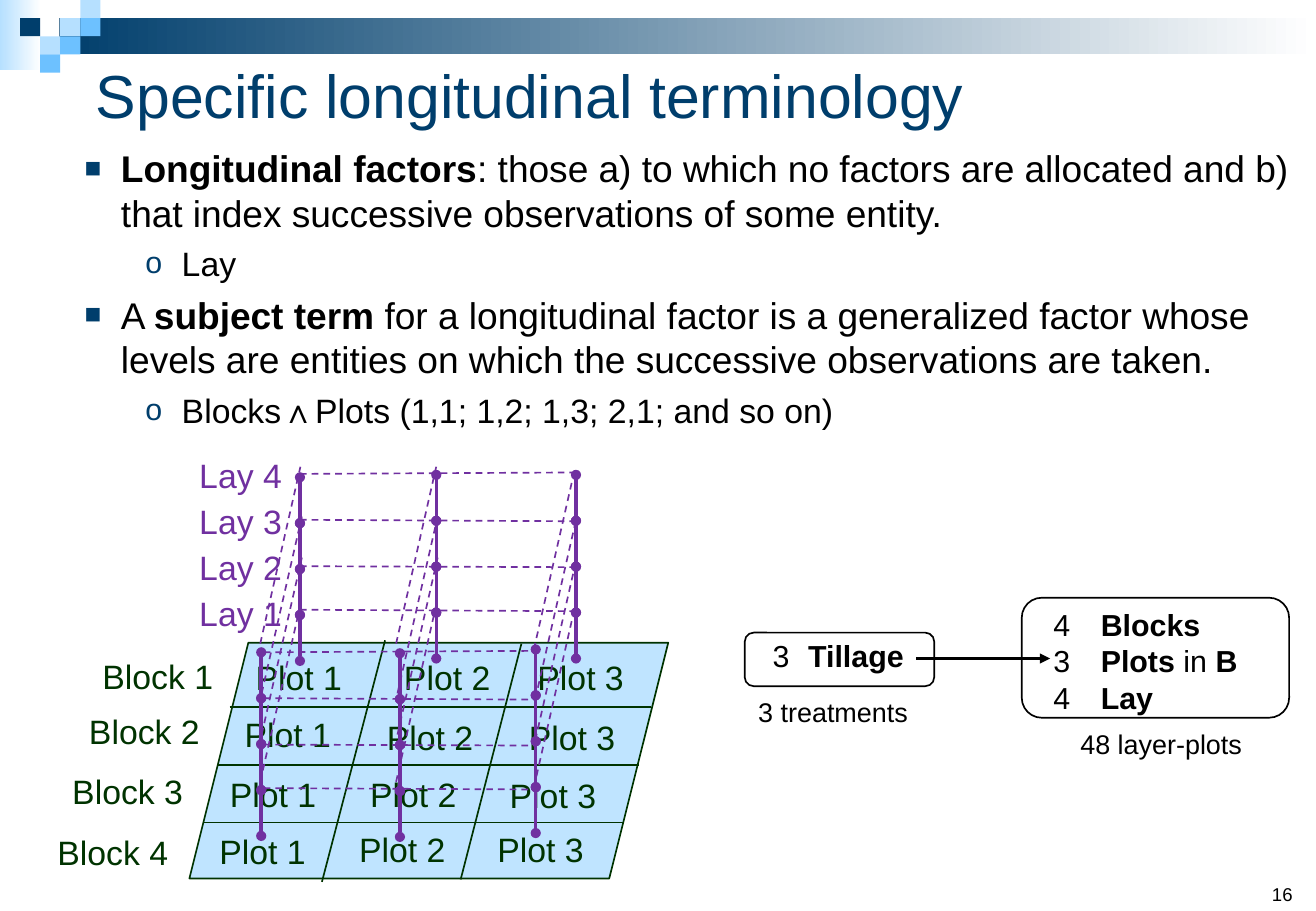
"""Build the slide on longitudinal terminology with its layered plot diagram."""
from dataclasses import dataclass
from typing import Optional

from lxml.etree import SubElement
from pptx import Presentation
from pptx.dml.color import RGBColor as Rgb
from pptx.enum.dml import MSO_LINE as Dash
from pptx.enum.shapes import MSO_CONNECTOR as Link, MSO_SHAPE as Kind
from pptx.enum.text import MSO_ANCHOR as Anchor, PP_ALIGN as Align
from pptx.oxml.ns import qn
from pptx.shapes.autoshape import Shape
from pptx.slide import Slide
from pptx.text.text import TextFrame as Frame
from pptx.util import Cm, Pt


@dataclass(frozen=True)
class Theme:
    font: str = "Arial"
    navy: str = "003E6C"
    sky: str = "6DC1FF"
    pale: str = "B6E0FF"
    field: str = "BFE4FF"
    green: str = "003300"
    purple: str = "7030A0"
    black: str = "000000"
    white: str = "FFFFFF"
    title: int = 36
    main: int = 22
    sub: int = 20
    box: int = 18
    note: int = 16
    page: int = 11


@dataclass(frozen=True)
class Run:
    text: str
    bold: bool = False


@dataclass(frozen=True)
class Para:
    runs: tuple[Run, ...]
    size: int
    color: str
    left: float = 0
    hang: float = 0
    mark: str = ""
    scale: int = 100
    before: int = 0
    align: Align = Align.LEFT


@dataclass(frozen=True)
class Rect:
    left: float
    top: float
    width: float
    height: float

    def cm(self) -> tuple[Cm, Cm, Cm, Cm]:
        return Cm(self.left), Cm(self.top), Cm(self.width), Cm(self.height)


@dataclass(frozen=True)
class Pen:
    color: str
    width: float = 1
    dash: bool = False
    head: Optional[str] = None
    tail: Optional[str] = None


T = Theme()


def write(frame: Frame, paras: list[Para]) -> None:
    frame.word_wrap = True
    for num, item in enumerate(paras):
        para = frame.paragraphs[0] if num == 0 else frame.add_paragraph()
        para.alignment = item.align
        para.space_before = Pt(item.before if num else 0)
        props = para._p.get_or_add_pPr()
        props.set("marL", str(Cm(item.left)))
        props.set("indent", str(Cm(item.hang)))
        if item.mark:
            tint = SubElement(props, qn("a:buClr"))
            SubElement(tint, qn("a:srgbClr"), val=T.navy)
            SubElement(props, qn("a:buSzPct"), val=str(item.scale * 1000))
            SubElement(props, qn("a:buFont"), typeface=T.font)
            SubElement(props, qn("a:buChar"), char=item.mark)
        for part in item.runs:
            run = para.add_run()
            run.text = part.text
            run.font.name = T.font
            run.font.size = Pt(item.size)
            run.font.bold = part.bold
            run.font.color.rgb = Rgb.from_string(item.color)


def add_text(slide: Slide, rect: Rect, paras: list[Para], anchor: Anchor = Anchor.TOP) -> None:
    frame = slide.shapes.add_textbox(*rect.cm()).text_frame
    frame.vertical_anchor = anchor
    write(frame, paras)


def add_label(slide: Slide, rect: Rect, text: str, size: int, color: str) -> None:
    add_text(slide, rect, [Para((Run(text),), size, color, align=Align.CENTER)])


def add_form(slide: Slide, kind: Kind, rect: Rect, fills: tuple[str, ...] = (),
             edge: Optional[str] = None) -> Shape:
    form = slide.shapes.add_shape(kind, *rect.cm())
    form.shadow.inherit = False
    if len(fills) == 2:
        form.fill.gradient()
        form.fill.gradient_angle = 0
        for stop, color in zip(form.fill.gradient_stops, fills):
            stop.color.rgb = Rgb.from_string(color)
    elif fills:
        form.fill.solid()
        form.fill.fore_color.rgb = Rgb.from_string(fills[0])
    else:
        form.fill.background()
    if edge:
        form.line.color.rgb = Rgb.from_string(edge)
        form.line.width = Pt(1)
    else:
        form.line.fill.background()
    return form


def add_box(slide: Slide, rect: Rect, paras: list[Para]) -> None:
    frame = add_form(slide, Kind.ROUNDED_RECTANGLE, rect, edge=T.black).text_frame
    frame.margin_left = frame.margin_right = Cm(0.03)
    frame.margin_top = frame.margin_bottom = Cm(0.05)
    frame.vertical_anchor = Anchor.TOP
    write(frame, paras)


def add_line(slide: Slide, x: float, y: float, to_x: float, to_y: float, pen: Pen) -> None:
    line = slide.shapes.add_connector(Link.STRAIGHT, Cm(x), Cm(y), Cm(to_x), Cm(to_y))
    line.line.color.rgb = Rgb.from_string(pen.color)
    line.line.width = Pt(pen.width)
    if pen.dash:
        line.line.dash_style = Dash.DASH
    props = line._element.spPr
    stroke = props.find(qn("a:ln"))
    for tag, end in (("a:headEnd", pen.head), ("a:tailEnd", pen.tail)):
        if end:
            SubElement(stroke, qn(tag), type=end)
    SubElement(props, qn("a:effectLst"))


def draw_band(slide: Slide) -> None:
    add_form(slide, Kind.RECTANGLE, Rect(0, 0, 0.86, 1.47), (T.pale, T.white))
    add_form(slide, Kind.RECTANGLE, Rect(1.24, 0.38, 26.26, 0.76), (T.navy, T.white))
    wide, high = 0.42, 0.38
    for col, row, color in ((3, 1, T.pale), (4, 0, T.pale), (4, 1, T.sky), (2, 2, T.pale),
                            (1, 1, T.navy), (3, 2, T.sky), (2, 3, T.sky)):
        add_form(slide, Kind.RECTANGLE, Rect(col * wide, row * high, wide, high), (color,))


def draw_text(slide: Slide) -> None:
    title = slide.shapes.title
    title.left, title.top, title.width, title.height = Rect(1.75, 0.86, 24.89, 2.21).cm()
    title.text_frame.vertical_anchor = Anchor.MIDDLE
    write(title.text_frame, [Para((Run("Specific longitudinal terminology"),), T.title, T.navy)])

    def main(*runs: Run) -> Para:
        return Para(runs, T.main, T.black, 0.91, -0.76, "■", 75, 5)

    def sub(text: str) -> Para:
        return Para((Run(text),), T.sub, T.black, 2.18, -0.76, "o", 90, 5)

    add_text(slide, Rect(1.37, 2.92, 26.14, 6.45), [
        main(Run("Longitudinal factors", True),
             Run(": those a) to which no factors are allocated and b) that index "
                 "successive observations of some entity.")),
        sub("Lay"),
        main(Run("A "), Run("subject term", True),
             Run(" for a longitudinal factor is a generalized factor whose levels are "
                 "entities on which the successive observations are taken.")),
        sub("Blocks∧Plots (1,1; 1,2; 1,3; 2,1; and so on)")])
    add_text(slide, Rect(26.34, 17.78, 1.17, 1.27), [Para((Run("16"),), T.page, T.black)],
             Anchor.BOTTOM)


def draw_panels(slide: Slide) -> None:
    add_box(slide, Rect(15.57, 13.23, 3.96, 1.12),
            [Para((Run("3\t"), Run("Tillage", True)), T.box, T.black, 1.24, -0.74)])
    rows = ((Run("4\t"), Run("Blocks", True)),
            (Run("3\t"), Run("Plots ", True), Run("in "), Run("B", True)),
            (Run("4\t"), Run("Lay", True)))
    add_box(slide, Rect(21.36, 12.5, 5.59, 2.51),
            [Para(runs, T.box, T.black, 1.5, -0.99) for runs in rows])
    add_label(slide, Rect(15.14, 14.43, 4.55, 0.94), "3 treatments", T.note, T.black)
    add_label(slide, Rect(22, 15.09, 4.55, 0.94), "48 layer-plots", T.note, T.black)
    add_line(slide, 19.15, 13.77, 21.95, 13.77, Pen(T.black, 1.5, tail="triangle"))


def draw_field(slide: Slide) -> None:
    add_form(slide, Kind.PARALLELOGRAM, Rect(3.96, 13.44, 10.01, 4.93), (T.field,), T.green)
    pen = Pen(T.green)
    add_line(slide, 6.73, 18.44, 8.05, 13.39, pen)
    add_line(slide, 9.63, 18.39, 10.9, 13.46, pen)
    for x, y in ((4.8, 14.78), (4.55, 16), (4.24, 17.2)):
        add_line(slide, x, y, x + 8.81, y, pen)
    spots = {"Plot 1": ((4.65, 13.61), (4.42, 14.81), (4.11, 16.05), (3.89, 17.25)),
             "Plot 2": ((7.75, 13.61), (7.39, 14.86), (7.04, 16.05), (6.81, 17.2)),
             "Plot 3": ((10.54, 13.61), (10.36, 14.86), (9.96, 16.08), (9.7, 17.2))}
    blocks = ((1.7, 13.59), (1.42, 14.73), (1.07, 16), (0.76, 17.27))
    names = [(f"Block {num}", spot) for num, spot in enumerate(blocks, 1)]
    names += [(name, spot) for name, group in spots.items() for spot in group]
    for name, (x, y) in names:
        add_label(slide, Rect(x, y, 3.2, 1.12), name, T.sub, T.green)


def draw_lays(slide: Slide) -> None:
    step = 0.96
    for num in range(4):
        add_label(slide, Rect(3.76, 12.27 - num * step, 2.54, 1.12), f"Lay {num + 1}",
                  T.sub, T.purple)
    mast = Pen(T.purple, 2, head="oval", tail="oval")
    for x, base in ((6.27, 13.82), (9.12, 13.77), (12.04, 13.77),
                    (5.46, 17.48), (8.36, 17.5), (11.2, 17.42)):
        for num in range(4):
            y = base - num * step
            add_line(slide, x, y, x, y - step, mast)
    dash = Pen(T.purple, dash=True)
    for x, drop in ((6.27, 0), (5.51, 3.73)):
        for y, end in ((9.91, 9.88), (10.87, 10.9), (11.84, 11.86), (12.75, 12.78)):
            add_line(slide, x, y + drop, x + 5.69, end + drop, dash)
    for x, y in ((5.44, 13.46), (8.28, 13.46), (11.16, 13.58)):
        for side, drop in ((0, 0), (0.03, 1.04), (0, 2.89), (0.03, 1.9)):
            add_line(slide, x + side, y + drop, x + side + 0.84, y + drop - 3.7, dash)


def main() -> None:
    deck = Presentation()
    deck.slide_width, deck.slide_height = Cm(27.51), Cm(19.05)
    slide = deck.slides.add_slide(deck.slide_layouts[5])
    for draw in (draw_band, draw_panels, draw_field, draw_lays, draw_text):
        draw(slide)
    deck.save("out.pptx")


if __name__ == "__main__":
    main()
